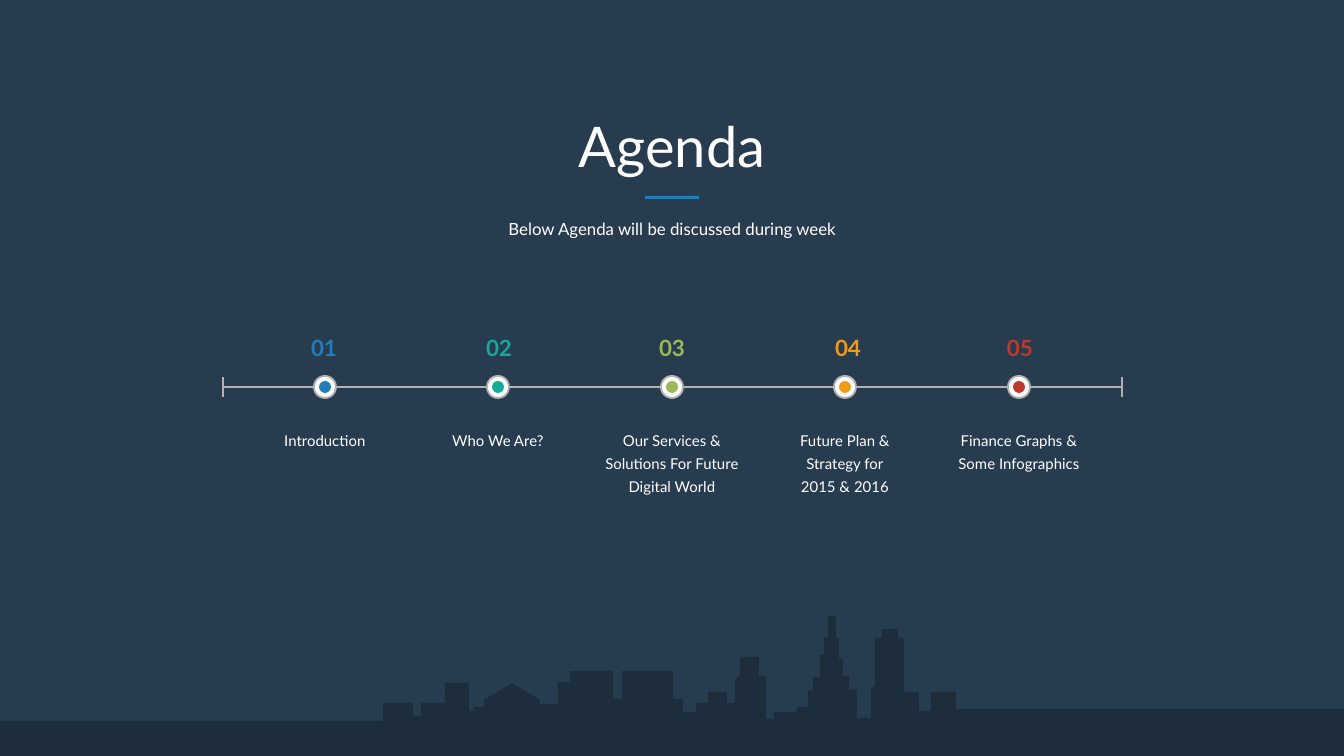
from lxml import etree
from pptx import Presentation
from pptx.dml.color import RGBColor
from pptx.enum.shapes import MSO_CONNECTOR, MSO_SHAPE
from pptx.enum.text import MSO_ANCHOR, MSO_AUTO_SIZE, PP_ALIGN
from pptx.oxml.ns import qn
from pptx.util import Pt

STRAIGHT = MSO_CONNECTOR.STRAIGHT
RECTANGLE, OVAL = MSO_SHAPE.RECTANGLE, MSO_SHAPE.OVAL
TOP, CENTER, NO_FIT = MSO_ANCHOR.TOP, PP_ALIGN.CENTER, MSO_AUTO_SIZE.NONE
PX = 914400 / 134.4
WIDTH, HEIGHT = 1344, 756
MIDDLE = WIDTH // 2
AXIS = 387

COLORS = {
    "background": "283C50", "skyline": "1E2D3C", "white": "FFFFFF", "axis": "B2B2B2",
    "blue": "237DB9", "teal": "14AA96", "green": "9BB955", "orange": "F09B14", "red": "BE392B",
}
FRAME_FORMAT = {
    "margin_left": 0, "margin_top": 0, "margin_right": 0, "margin_bottom": 0,
    "word_wrap": True, "auto_size": NO_FIT, "vertical_anchor": TOP,
}


def write_text(box, place, lines, size, color="white", bold=False, spacing=1.0):
    for name, value in zip(("left", "top", "width", "height"), place):
        setattr(box, name, round(value * PX))
    frame = box.text_frame
    for name, value in FRAME_FORMAT.items():
        setattr(frame, name, value)
    frame.text = "\n".join(lines)
    for para in frame.paragraphs:
        for name, value in {"alignment": CENTER, "line_spacing": spacing, "space_before": 0}.items():
            setattr(para, name, value)
        span = para.runs[0]
        for name, value in {"name": "Lato", "size": Pt(size), "bold": bold}.items():
            setattr(span.font, name, value)
        span.font.color.rgb = RGBColor.from_string(COLORS[color])


def paint(shape, fill, outline=None):
    shape.shadow.inherit = False
    shape.fill.solid()
    shape.fill.fore_color.rgb = RGBColor.from_string(COLORS[fill])
    if outline:
        shape.line.color.rgb = RGBColor.from_string(COLORS[outline])
        shape.line.width = Pt(1)
    else:
        shape.line.fill.background()


deck = Presentation()
deck.slide_width, deck.slide_height = round(WIDTH * PX), round(HEIGHT * PX)
page = deck.slides.add_slide(deck.slide_layouts[0])
page.background.fill.solid()
page.background.fill.fore_color.rgb = RGBColor.from_string(COLORS["background"])
shapes = page.shapes

roof_steps = [
    (383, 703), (413, 716), (421, 703), (445, 683), (469, 711), (474, 707), (484, 700),
    (540, 704), (558, 682), (570, 671), (613, 699), (622, 671), (673, 699), (683, 712),
    (696, 703), (708, 692), (727, 703), (735, 680), (740, 657), (759, 676), (766, 719),
    (774, 712), (797, 707), (808, 691), (813, 677), (820, 655), (824, 637), (828, 616),
    (836, 638), (839, 659), (843, 676), (849, 690), (857, 718), (871, 687), (875, 638),
    (882, 629), (898, 638), (904, 692), (919, 711), (931, 692), (956, 709),
]
roof_slopes = {484: [(512, 683), (540, 700)], 735: [(740, 675)]}
outline = [(0, 721)]
for x, y in roof_steps:
    outline += [(x, outline[-1][1]), (x, y)] + roof_slopes.get(x, [])
outline += [(WIDTH, outline[-1][1]), (WIDTH, HEIGHT), (0, HEIGHT)]
builder = shapes.build_freeform(*outline[0], scale=PX)
builder.add_line_segments(outline[1:], close=True)
paint(builder.convert_to_shape(), "skyline")

write_text(shapes.title, (101, 112, 1142, 67), ["Agenda"], 30)
write_text(page.placeholders[1], (101, 219, 1142, 20),
           ["Below Agenda will be discussed during week"], 9)
accent = shapes.add_shape(RECTANGLE, *[round(v * PX) for v in (645, 196, 54, 3)])
paint(accent, "blue")

for start_x, start_y, end_x, end_y, weight in (
    (222, AXIS, 1122, AXIS, 1.5),
    (223, AXIS - 10, 223, AXIS + 10, 1),
    (1122, AXIS - 10, 1122, AXIS + 10, 1),
):
    line = shapes.add_connector(STRAIGHT, *[round(v * PX) for v in (start_x, start_y, end_x, end_y)])
    line.line.color.rgb = RGBColor.from_string(COLORS["axis"])
    line.line.width = Pt(weight)
    etree.SubElement(line._element.spPr, qn("a:effectLst"))

topics = [
    ("blue", 324, ["Introduction"]),
    ("teal", 499, ["Who We Are?"]),
    ("green", 672, ["Our Services & Solutions For Future Digital World"]),
    ("orange", 848, ["Future Plan & Strategy for", "2015 & 2016"]),
    ("red", 1020, ["Finance Graphs & Some Infographics"]),
]
for index, (color, number_center, lines) in enumerate(topics):
    center = MIDDLE + 347 * (index - 2) // 2
    for diameter, fill, border in ((22, "white", "axis"), (12, color, None)):
        place = (center - diameter / 2, AXIS - diameter / 2, diameter, diameter)
        paint(shapes.add_shape(OVAL, *[round(v * PX) for v in place]), fill, border)
    write_text(shapes.add_textbox(0, 0, 0, 0), (number_center - 16, 334, 32, 27),
               [f"{index + 1:02}"], 12, color, bold=True)
    write_text(shapes.add_textbox(0, 0, 0, 0), (center - 68, 426, 136, 71),
               lines, 8, spacing=1.3)

deck.save("out.pptx")
